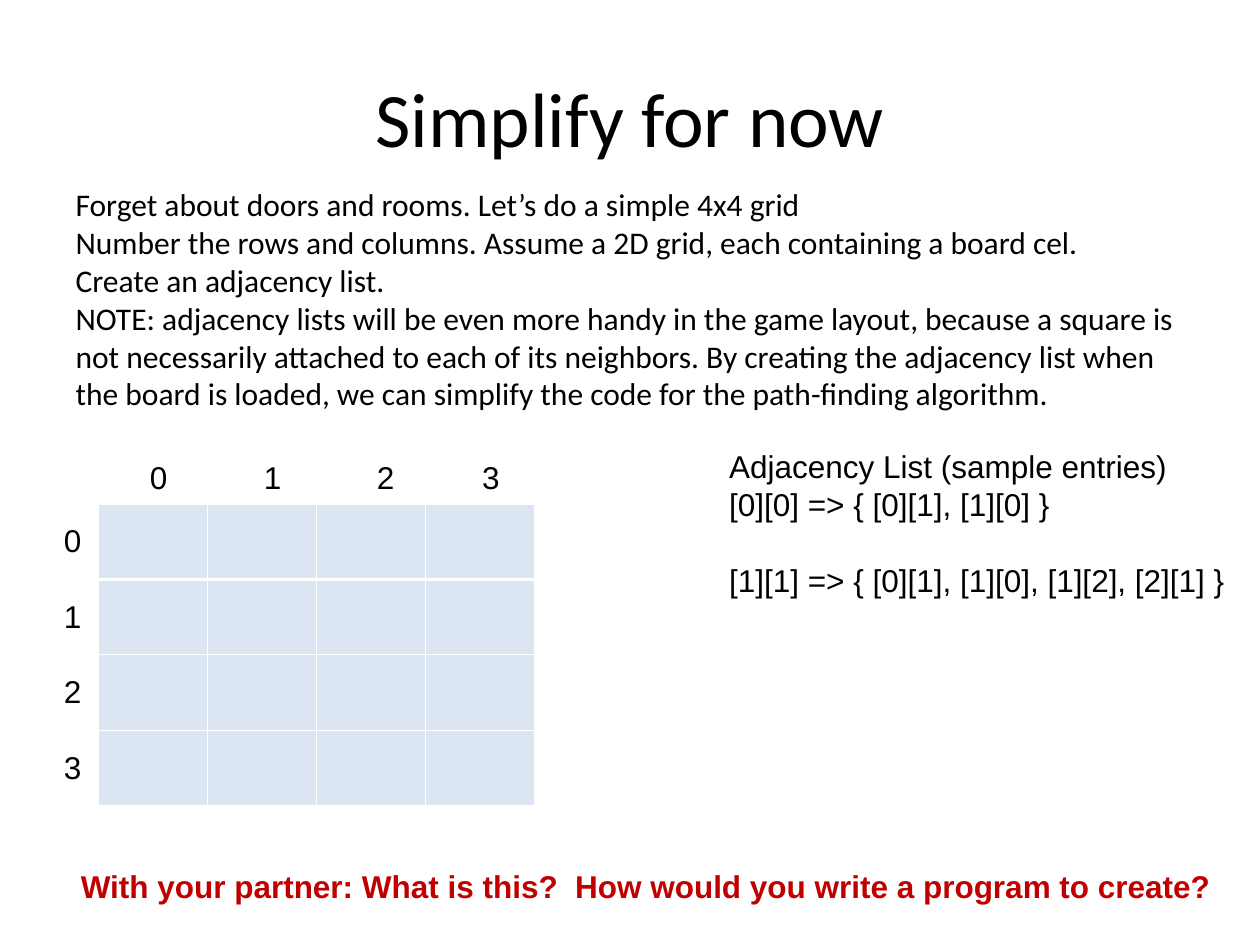
from lxml.etree import SubElement
from pptx import Presentation
from pptx.dml.color import RGBColor
from pptx.enum.text import MSO_ANCHOR, MSO_AUTO_SIZE, PP_ALIGN
from pptx.oxml import parse_xml
from pptx.oxml.ns import nsdecls, qn
from pptx.util import Cm, Pt

BLACK, RED, WHITE, PALE_BLUE = "000000", "C00000", "FFFFFF", "DCE6F2"
LINE_HEIGHT = 21.6
GRID_SIZE = 4
CELL_WIDTH, CELL_HEIGHT = 2.2, 1.52

INTRODUCTION = [
    "Forget about doors and rooms. Let’s do a simple 4x4 grid",
    "Number the rows and columns. Assume a 2D grid, each containing a board cel.",
    "Create an adjacency list.",
    "NOTE: adjacency lists will be even more handy in the game layout, because a square is "
    "not necessarily attached to each of its neighbors. By creating the adjacency list when "
    "the board is loaded, we can simplify the code for the path-finding algorithm.",
]
ADJACENCY_LIST = [
    "Adjacency List (sample entries)",
    "[0][0] => { [0][1], [1][0] }",
    "[1][1] => { [0][1], [1][0], [1][2], [2][1] }",
]
QUESTION = "With your partner: What is this?  How would you write a program to create?"


def color(value):
    return RGBColor.from_string(value)


def place(shape, left, top, width, height):
    shape.left, shape.top = Cm(left), Cm(top)
    shape.width, shape.height = Cm(width), Cm(height)


def add_run(paragraph, text, font_name, size, font_color, bold=False):
    run = paragraph.add_run()
    run.text = text
    run.font.name = font_name
    run.font.size = Pt(size)
    run.font.bold = bold
    run.font.color.rgb = color(font_color)


def write_lines(text_frame, lines, font_name="Arial", font_color=BLACK, bold=False, gaps=()):
    for index, line in enumerate(lines):
        paragraph = text_frame.paragraphs[0] if index == 0 else text_frame.add_paragraph()
        paragraph.line_spacing = Pt(LINE_HEIGHT)
        paragraph.space_before = Pt(LINE_HEIGHT if index in gaps else 0)
        add_run(paragraph, line, font_name, 18, font_color, bold)


def add_label(slide, box, lines, **style):
    shape = slide.shapes.add_textbox(*(Cm(length) for length in box))
    shape.text_frame.word_wrap = False
    write_lines(shape.text_frame, lines, **style)
    return shape


def fill_title(slide, text):
    title = slide.shapes.title
    place(title, 1.27, 0.76, 22.86, 3.18)
    title.text_frame.vertical_anchor = MSO_ANCHOR.MIDDLE
    paragraph = title.text_frame.paragraphs[0]
    paragraph.alignment = PP_ALIGN.CENTER
    add_run(paragraph, text, "Calibri", 44, BLACK)


def fill_body(slide, lines):
    body = slide.placeholders[1]
    place(body, 1.27, 3.61, 22.86, 4.83)
    body.text_frame.auto_size = MSO_AUTO_SIZE.NONE
    write_lines(body.text_frame, lines, font_name="Calibri")
    for paragraph in body.text_frame.paragraphs:
        properties = paragraph._p.get_or_add_pPr()
        properties.set("marL", "0")
        properties.set("indent", "0")
        SubElement(properties, qn("a:buNone"))


def set_border(cell, position, side, width):
    border = parse_xml(
        f'<a:{side} {nsdecls("a")} w="{Pt(width)}"><a:solidFill>'
        f'<a:srgbClr val="{WHITE}"/></a:solidFill></a:{side}>'
    )
    cell._tc.get_or_add_tcPr().insert(position, border)


def add_grid(slide, left, top):
    table = slide.shapes.add_table(
        GRID_SIZE, GRID_SIZE, Cm(left), Cm(top),
        Cm(GRID_SIZE * CELL_WIDTH), Cm(GRID_SIZE * CELL_HEIGHT),
    ).table
    table.first_row = table.horz_banding = False
    for row_index, row in enumerate(table.rows):
        thick_side = {0: "lnB", 1: "lnT"}.get(row_index)
        for cell in row.cells:
            cell.fill.solid()
            cell.fill.fore_color.rgb = color(PALE_BLUE)
            for position, side in enumerate(("lnL", "lnR", "lnT", "lnB")):
                set_border(cell, position, side, 1.47 if side == thick_side else 0.45)


def add_column_numbers(slide, numbers):
    shape = add_label(slide, (2.77, 9.11, 7.57, 1.02), ["\t".join(numbers)])
    properties = shape.text_frame.paragraphs[0]._p.get_or_add_pPr()
    tab_list = SubElement(properties, qn("a:tabLst"))
    for position in (2.3, 4.58, 6.7):
        SubElement(tab_list, qn("a:tab"), pos=str(Cm(position)), algn="l")


def main():
    presentation = Presentation()
    presentation.slide_width, presentation.slide_height = Cm(25.4), Cm(19.05)
    slide = presentation.slides.add_slide(presentation.slide_layouts[1])
    numbers = [str(number) for number in range(GRID_SIZE)]

    fill_title(slide, "Simplify for now")
    add_grid(slide, 1.98, 10.16)
    fill_body(slide, INTRODUCTION)
    add_label(slide, (1.38, 17.35, 23.47, 1.02), [QUESTION], font_color=RED, bold=True)
    add_column_numbers(slide, numbers)
    add_label(slide, (1.04, 10.38, 0.86, 5.59), numbers, gaps=range(1, GRID_SIZE))
    add_label(slide, (14.45, 8.89, 10.49, 4.06), ADJACENCY_LIST, gaps=(2,))

    presentation.save("out.pptx")


if __name__ == "__main__":
    main()
